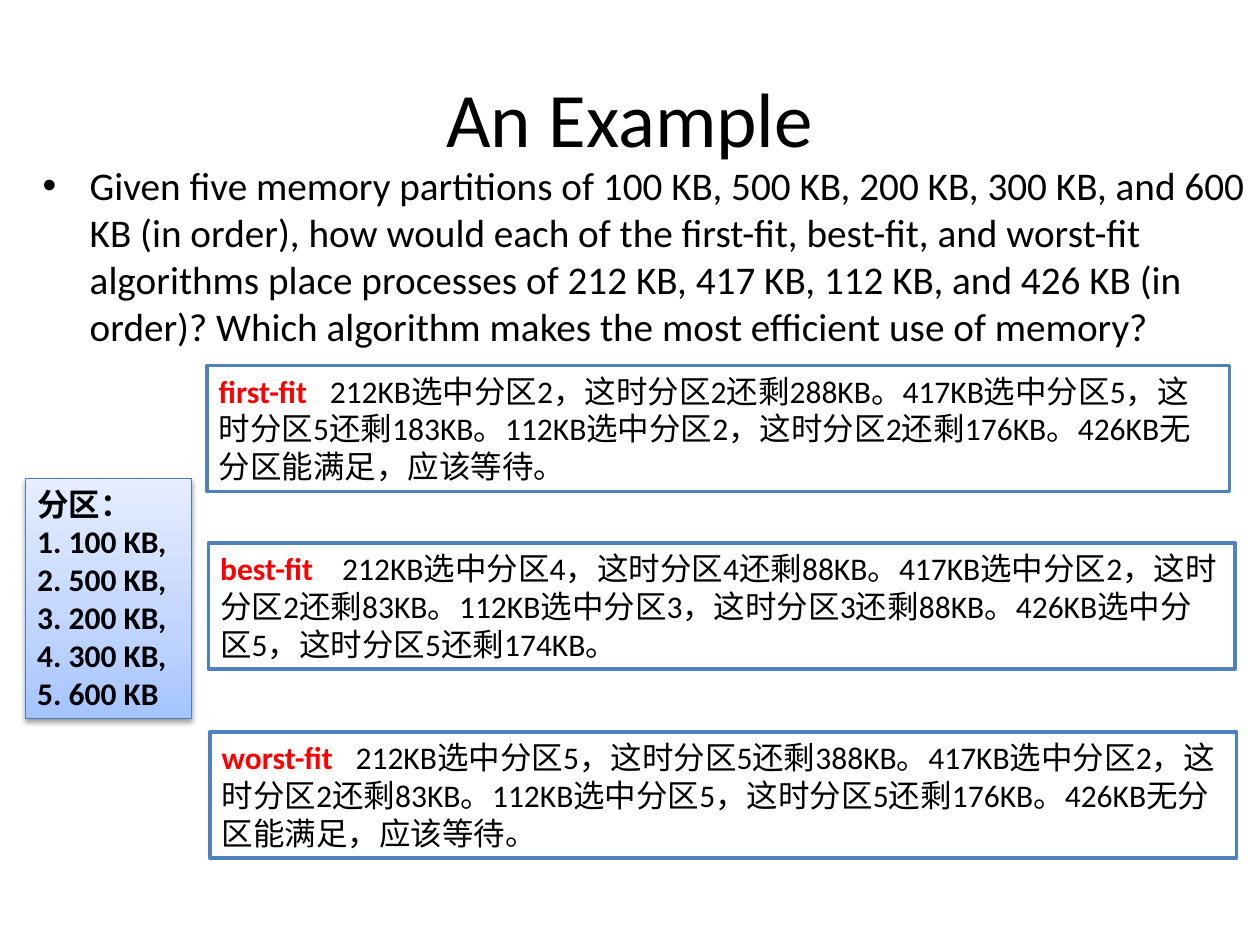
"""Build the slide comparing first-fit, best-fit and worst-fit memory allocation."""
import pptx
import pptx.dml.color
import pptx.enum.shapes
import pptx.enum.text
import pptx.oxml
import pptx.oxml.ns
import pptx.util
from lxml import etree
from pptx.util import Cm

BLACK, RED, WHITE = "000000", "FF0000", "FFFFFF"


def color(value):
    return pptx.dml.color.RGBColor.from_string(value)


def add_element(parent, tag, **attributes):
    return etree.SubElement(parent, pptx.oxml.ns.qn(tag), attributes)


class SlideBuilder:
    font = "Calibri"
    text_size = 18

    def __init__(self, presentation):
        self.slide = presentation.slides.add_slide(presentation.slide_layouts[5])

    def add_run(self, paragraph, text, size=text_size, fill=BLACK, bold=False):
        run = paragraph.add_run()
        run.text = text
        run.font.name = self.font
        run.font.size = pptx.util.Pt(size)
        run.font.bold = bold
        run.font.color.rgb = color(fill)

    def title(self, text, left, top, width, height):
        shape = self.slide.shapes.title
        shape.left, shape.top = Cm(left), Cm(top)
        shape.width, shape.height = Cm(width), Cm(height)
        frame = shape.text_frame
        frame.vertical_anchor = pptx.enum.text.MSO_ANCHOR.MIDDLE
        paragraph = frame.paragraphs[0]
        paragraph.alignment = pptx.enum.text.PP_ALIGN.CENTER
        self.add_run(paragraph, text, 44)

    def bullet(self, text, left, top, width, height, size, indent):
        shape = self.slide.shapes.add_textbox(Cm(left), Cm(top), Cm(width), Cm(height))
        shape.text_frame.word_wrap = True
        paragraph = shape.text_frame.paragraphs[0]
        properties = paragraph._p.get_or_add_pPr()
        properties.set("marL", str(Cm(indent)))
        properties.set("indent", str(-Cm(indent)))
        add_element(properties, "a:buFont", typeface="Arial")
        add_element(properties, "a:buChar", char="•")
        self.add_run(paragraph, text, size)

    def box(self, left, top, width, height, fill, line, line_width):
        shape = self.slide.shapes.add_shape(
            pptx.enum.shapes.MSO_SHAPE.RECTANGLE, Cm(left), Cm(top), Cm(width), Cm(height))
        shape.shadow.inherit = False
        shape.fill.solid()
        shape.fill.fore_color.rgb = color(fill)
        shape.line.color.rgb = color(line)
        shape.line.width = pptx.util.Pt(line_width)
        frame = shape.text_frame
        frame.word_wrap = True
        frame.auto_size = pptx.enum.text.MSO_AUTO_SIZE.SHAPE_TO_FIT_TEXT
        frame.vertical_anchor = pptx.enum.text.MSO_ANCHOR.TOP
        frame.margin_left = frame.margin_right = Cm(0.24)
        frame.margin_top = frame.margin_bottom = Cm(0.12)
        return shape

    def answer(self, name, text, left, top, width, tab):
        shape = self.box(left, top, width, 2.54, WHITE, "4F81BD", 2)
        paragraph = shape.text_frame.paragraphs[0]
        paragraph.alignment = pptx.enum.text.PP_ALIGN.LEFT
        tabs = add_element(paragraph._p.get_or_add_pPr(), "a:tabLst")
        add_element(tabs, "a:tab", pos=str(Cm(tab)), algn="l")
        self.add_run(paragraph, name, fill=RED, bold=True)
        self.add_run(paragraph, "\t" + text)

    def partition_list(self, lines, left, top, width, height):
        shape = self.box(left, top, width, height, WHITE, "4B7EBC", 0.75)
        self.apply_gradient(shape, [(0, "A4C4FF"), (35, "BFD4FF"), (100, "E6EEFF")])
        self.apply_shadow(shape)
        frame = shape.text_frame
        for index, line in enumerate(lines):
            paragraph = frame.add_paragraph() if index else frame.paragraphs[0]
            paragraph.alignment = pptx.enum.text.PP_ALIGN.LEFT
            self.add_run(paragraph, line, bold=True)

    def apply_gradient(self, shape, stops):
        shape.fill.gradient()
        shape.fill.gradient_angle = 90
        stop_list = shape._element.spPr.find(".//" + pptx.oxml.ns.qn("a:gsLst"))
        for stop in list(stop_list):
            stop_list.remove(stop)
        for percent, value in stops:
            stop = add_element(stop_list, "a:gs", pos=str(percent * 1000))
            add_element(stop, "a:srgbClr", val=value)

    def apply_shadow(self, shape):
        effects = shape._element.spPr.find(pptx.oxml.ns.qn("a:effectLst"))
        shadow = add_element(effects, "a:outerShdw", blurRad="40000", dist="20000",
                             dir="5400000", rotWithShape="0")
        shade = add_element(shadow, "a:srgbClr", val=BLACK)
        add_element(shade, "a:alpha", val="38000")


def main():
    presentation = pptx.Presentation()
    presentation.slide_width, presentation.slide_height = Cm(25.4), Cm(19.05)
    builder = SlideBuilder(presentation)
    builder.title("An Example", 1.27, 0.76, 22.86, 3.18)
    builder.bullet(
        "Given five memory partitions of 100 KB, 500 KB, 200 KB, 300 KB, and 600 KB "
        "(in order), how would each of the first-fit, best-fit, and worst-fit algorithms "
        "place processes of 212 KB, 417 KB, 112 KB, and 426 KB (in order)? Which algorithm "
        "makes the most efficient use of memory?",
        0.61, 3.12, 24.79, 3.76, size=22.4, indent=0.95)
    answers = [
        ("first-fit", "212KB选中分区2，这时分区2还剩288KB。417KB选中分区5，这时分区5还剩183KB。"
         "112KB选中分区2，这时分区2还剩176KB。426KB无分区能满足，应该等待。",
         4.17, 7.37, 20.62, 2.24),
        ("best-fit", "212KB选中分区4，这时分区4还剩88KB。417KB选中分区2，这时分区2还剩83KB。"
         "112KB选中分区3，这时分区3还剩88KB。426KB选中分区5，这时分区5还剩174KB。",
         4.2, 10.95, 20.7, 2.46),
        ("worst-fit", "212KB选中分区5，这时分区5还剩388KB。417KB选中分区2，这时分区2还剩83KB。"
         "112KB选中分区5，这时分区5还剩176KB。426KB无分区能满足，应该等待。",
         4.23, 14.76, 20.7, 2.7),
    ]
    for answer in answers:
        builder.answer(*answer)
    builder.partition_list(
        ["分区：", "1. 100 KB,", "2. 500 KB,", "3. 200 KB,", "4. 300 KB,", "5. 600 KB"],
        0.51, 9.65, 3.35, 4.83)
    presentation.save("out.pptx")


if __name__ == "__main__":
    main()
